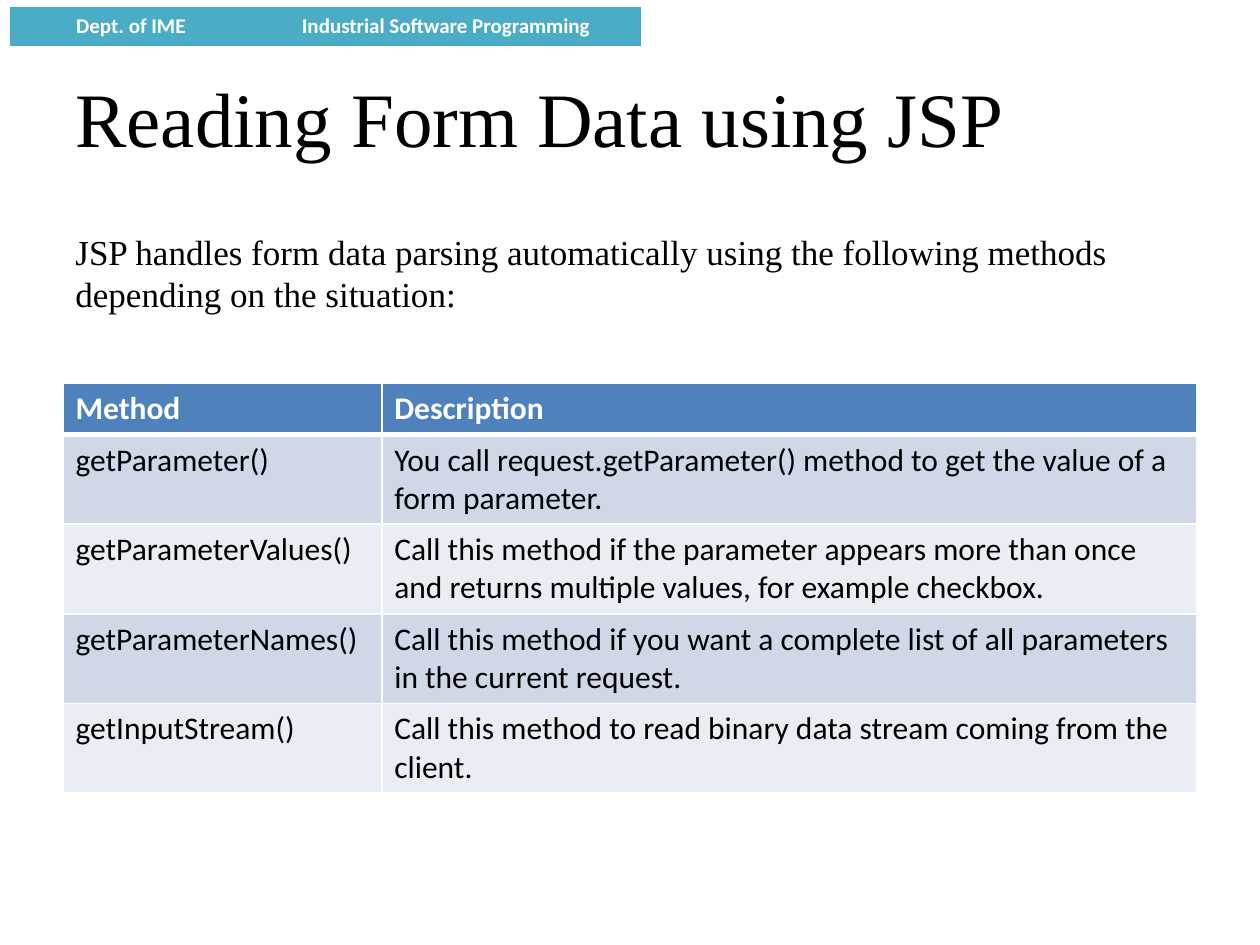
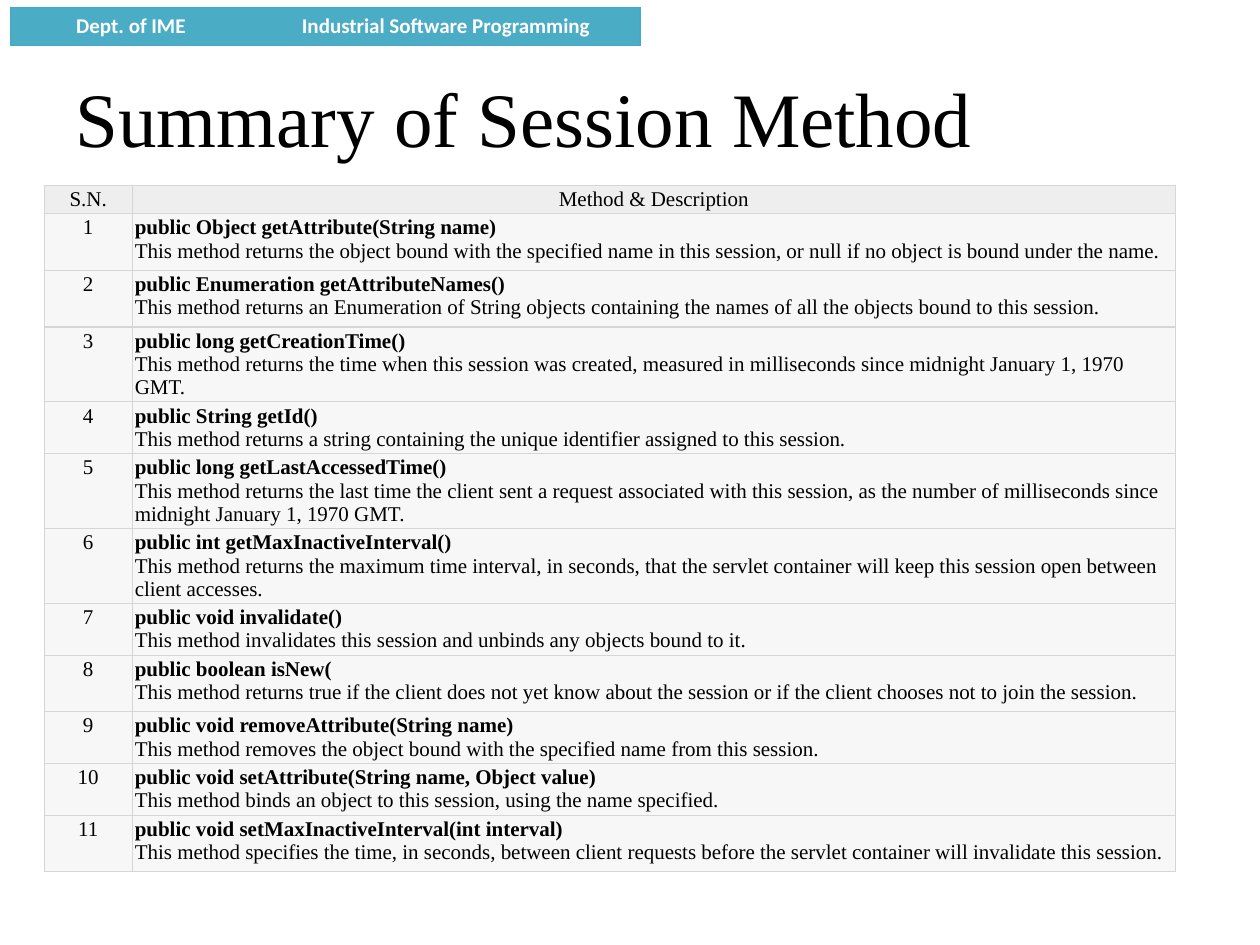
from lxml import etree
from pptx import Presentation
from pptx.dml.color import RGBColor
from pptx.enum import text as t
from pptx.oxml import ns
from pptx.util import Inches, Pt

# Shared style
BLACK = RGBColor(0x00, 0x00, 0x00)
WHITE = RGBColor(0xFF, 0xFF, 0xFF)
BAND_FILL = RGBColor(0x4B, 0xAC, 0xC6)
BAND_EDGE = RGBColor(0x46, 0xAA, 0xC5)
HEADER_BLUE = RGBColor(0x4F, 0x81, 0xBD)
STRIPES = (RGBColor(0xD0, 0xD8, 0xE8), RGBColor(0xE9, 0xED, 0xF4))
GRID_GREY = RGBColor(0xD6, 0xD6, 0xD6)
HEADER_GREY = RGBColor(0xEE, 0xEE, 0xEE)
ROW_GREY = RGBColor(0xF7, 0xF7, 0xF7)
SANS, SERIF = "Calibri", "Times New Roman"
CENTER, LEFT = t.PP_ALIGN.CENTER, t.PP_ALIGN.LEFT
PLAIN_TABLE = "{2D5ABB26-0587-4C30-8999-92F81FD0307C}"

# Content
BAND_LABELS = ("Dept. of IME", "Industrial Software Programming")
INTRO = ("JSP handles form data parsing automatically using the following methods",
         "depending on the situation:")
FORM_METHODS = [
    ("Method", "Description"),
    ("getParameter()",
     "You call request.getParameter() method to get the value of a form parameter."),
    ("getParameterValues()",
     "Call this method if the parameter appears more than once and returns multiple "
     "values, for example checkbox."),
    ("getParameterNames()",
     "Call this method if you want a complete list of all parameters in the current request."),
    ("getInputStream()",
     "Call this method to read binary data stream coming from the client."),
]
# Signature, description, row height
SESSION_METHODS = [
    ("public Object getAttribute(String name)",
     "This method returns the object bound with the specified name in this session, "
     "or null if no object is bound under the name.", 0.45),
    ("public Enumeration getAttributeNames()",
     "This method returns an Enumeration of String objects containing the names of all "
     "the objects bound to this session.", 0.45),
    ("public long getCreationTime()",
     "This method returns the time when this session was created, measured in "
     "milliseconds since midnight January 1, 1970 GMT.", 0.59),
    ("public String getId()",
     "This method returns a string containing the unique identifier assigned to this "
     "session.", 0.4),
    ("public long getLastAccessedTime()",
     "This method returns the last time the client sent a request associated with this "
     "session, as the number of milliseconds since midnight January 1, 1970 GMT.", 0.59),
    ("public int getMaxInactiveInterval()",
     "This method returns the maximum time interval, in seconds, that the servlet "
     "container will keep this session open between client accesses.", 0.59),
    ("public void invalidate()",
     "This method invalidates this session and unbinds any objects bound to it.", 0.4),
    ("public boolean isNew(",
     "This method returns true if the client does not yet know about the session or if "
     "the client chooses not to join the session.", 0.45),
    ("public void removeAttribute(String name)",
     "This method removes the object bound with the specified name from this session.", 0.4),
    ("public void setAttribute(String name, Object value)",
     "This method binds an object to this session, using the name specified.", 0.4),
    ("public void setMaxInactiveInterval(int interval)",
     "This method specifies the time, in seconds, between client requests before the "
     "servlet container will invalidate this session.", 0.45),
]


def write(paragraph, text, size=12, font=SERIF, color=BLACK, bold=False, align=LEFT):
    """Append a formatted run to a paragraph."""
    paragraph.alignment = align
    run = paragraph.add_run()
    run.text = text
    run.font.size = Pt(size)
    run.font.name = font
    run.font.bold = bold
    run.font.color.rgb = color


def set_borders(cell, color, **widths):
    """Draw the sides L, R, T and B that are given, in points."""
    properties = cell._tc.get_or_add_tcPr()
    sides = [side for side in "LRTB" if side in widths]
    for index, side in enumerate(sides):
        line = etree.Element(ns.qn(f"a:ln{side}"), w=str(Pt(widths[side])))
        fill = etree.SubElement(line, ns.qn("a:solidFill"))
        etree.SubElement(fill, ns.qn("a:srgbClr"), val=str(color))
        properties.insert(index, line)


class Deck:
    def __init__(self):
        self.presentation = Presentation()
        self.presentation.slide_width = Inches(10)
        self.presentation.slide_height = Inches(7.5)
        self.slide = None

    def add_slide(self, title):
        self.slide = self.presentation.slides.add_slide(self.presentation.slide_layouts[5])
        self.band()
        heading = self.slide.shapes.title
        heading.left, heading.top = Inches(0.5), Inches(0.3)
        heading.width, heading.height = Inches(9), Inches(1.25)
        frame = heading.text_frame
        frame.auto_size = t.MSO_AUTO_SIZE.NONE
        frame.vertical_anchor = t.MSO_ANCHOR.MIDDLE
        write(frame.paragraphs[0], title, size=44)

    def table(self, left, top, columns, rows):
        frame = self.slide.shapes.add_table(
            len(rows), len(columns), Inches(left), Inches(top),
            Inches(sum(columns)), Inches(sum(rows)))
        table = frame.table
        table.first_row = table.horz_banding = False
        table._tbl.tblPr.find(ns.qn("a:tableStyleId")).text = PLAIN_TABLE
        for column, width in zip(table.columns, columns):
            column.width = Inches(width)
        for row, height in zip(table.rows, rows):
            row.height = Inches(height)
        return table

    def cell(self, table, row, column, fill, inset=None):
        """Fill a cell and return it with its first paragraph."""
        cell = table.cell(row, column)
        cell.fill.solid()
        cell.fill.fore_color.rgb = fill
        if inset is not None:
            cell.margin_left = cell.margin_right = Inches(inset)
            cell.margin_top = cell.margin_bottom = Inches(inset)
        return cell, cell.text_frame.paragraphs[0]

    def band(self):
        band = self.table(0.08, 0.06, (1.92, 3.08), (0.3,))
        for column, (label, outer) in enumerate(zip(BAND_LABELS, "LR")):
            cell, paragraph = self.cell(band, 0, column, BAND_FILL)
            write(paragraph, label, font=SANS, color=WHITE, bold=True, align=CENTER)
            set_borders(cell, BAND_EDGE, T=0.75, B=0.75, **{outer: 0.75})

    def paragraphs(self, lines, left, top, width, height, **style):
        box = self.slide.shapes.add_textbox(
            Inches(left), Inches(top), Inches(width), Inches(height))
        frame = box.text_frame
        frame.word_wrap = False
        frame.auto_size = t.MSO_AUTO_SIZE.SHAPE_TO_FIT_TEXT
        for index, line in enumerate(lines):
            paragraph = frame.add_paragraph() if index else frame.paragraphs[0]
            write(paragraph, line, **style)

    def form_methods(self):
        table = self.table(0.5, 3.04, (2.53, 6.47),
                           [0.41] + [0.71] * (len(FORM_METHODS) - 1))
        for row, entry in enumerate(FORM_METHODS):
            header = row == 0
            fill = HEADER_BLUE if header else STRIPES[(row - 1) % 2]
            for column, words in enumerate(entry):
                cell, paragraph = self.cell(table, row, column, fill)
                write(paragraph, words, size=18, font=SANS, bold=header,
                      color=WHITE if header else BLACK)
                set_borders(cell, WHITE, L=1, R=1,
                            T=3 if row == 1 else 1, B=3 if header else 1)

    def session_methods(self):
        heights = [0.22] + [height for *_, height in SESSION_METHODS]
        table = self.table(0.35, 1.47, (0.7, 8.28), heights)
        for row in range(len(heights)):
            fill = ROW_GREY if row else HEADER_GREY
            (number_cell, number), (method_cell, method) = (
                self.cell(table, row, column, fill, inset=0.02) for column in range(2))
            write(number, str(row) if row else "S.N.", align=CENTER)
            if row:
                signature, description, _ = SESSION_METHODS[row - 1]
                write(method, signature, bold=True)
                method.add_line_break()
                write(method, description)
            else:
                write(method, "Method & Description", align=CENTER)
            for cell in (number_cell, method_cell):
                set_borders(cell, GRID_GREY, L=0.75, R=0.75, T=0.75, B=0.75)


def main():
    deck = Deck()

    # Form data methods
    deck.add_slide("Reading Form Data using JSP")
    deck.form_methods()
    deck.paragraphs(INTRO, 0.5, 1.78, 8.51, 0.77, size=20)

    # Session methods
    deck.add_slide("Summary of Session Method")
    deck.session_methods()

    deck.presentation.save("out.pptx")


if __name__ == "__main__":
    main()
